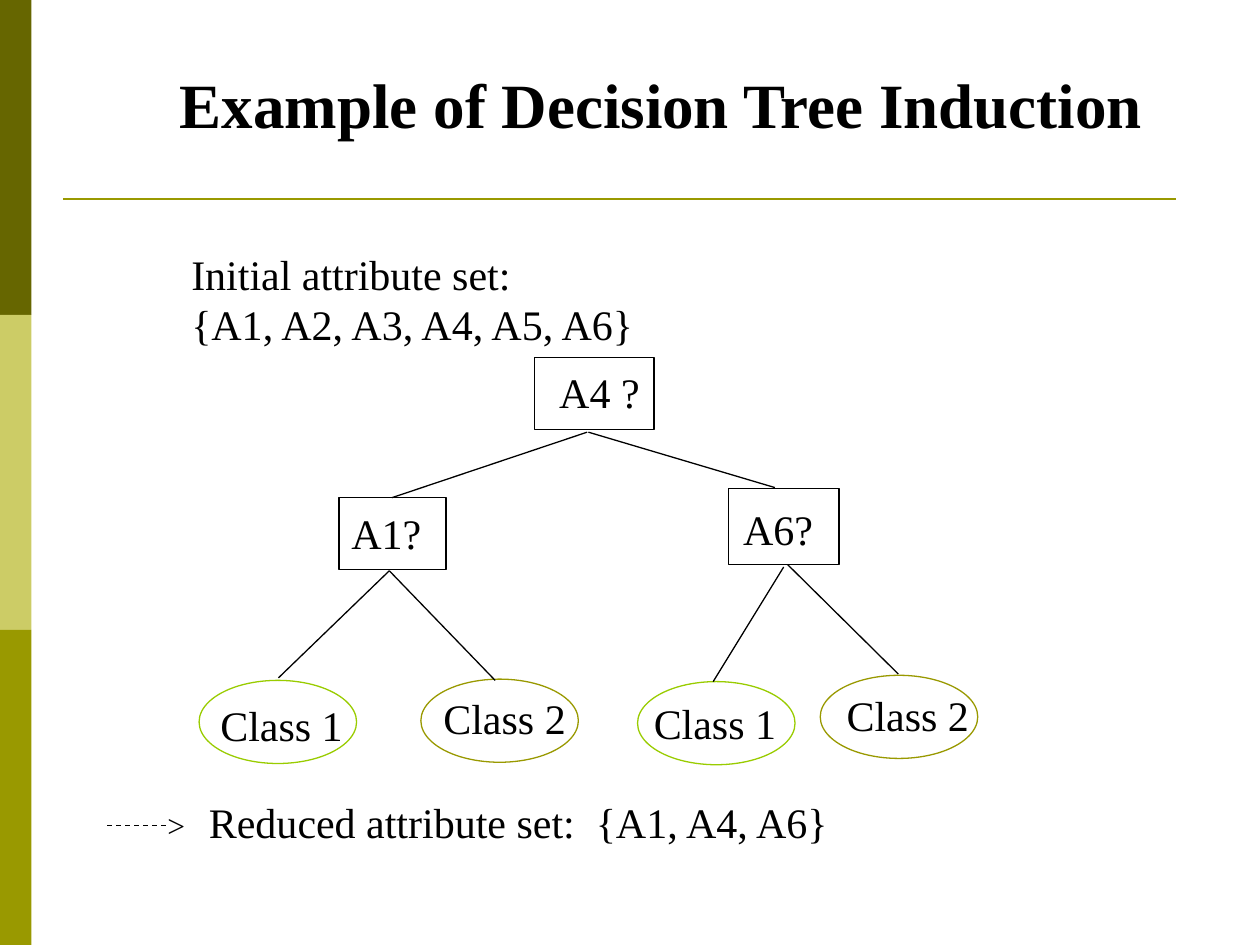
from lxml import etree
from pptx import Presentation
from pptx import util as u
from pptx.dml.color import RGBColor
from pptx.enum import dml, shapes, text
from pptx.oxml import ns

BLACK = RGBColor(0x00, 0x00, 0x00)
WHITE = RGBColor(0xFF, 0xFF, 0xFF)
DARK_OLIVE = RGBColor(0x66, 0x66, 0x00)
PALE_OLIVE = RGBColor(0xCC, 0xCC, 0x66)
OLIVE = RGBColor(0x99, 0x99, 0x00)
LIME = RGBColor(0x99, 0xCC, 0x00)


class Board:
    font = "Times New Roman"
    size = 24
    thin = 0.74
    cols, rows = 100, 75

    def __init__(self, prs):
        self.slide = prs.slides.add_slide(prs.slide_layouts[6])
        self.col = prs.slide_width / self.cols
        self.row = prs.slide_height / self.rows
        fill = self.slide.background.fill
        fill.solid()
        fill.fore_color.rgb = WHITE

    def grid(self, *lengths):
        units = (self.col, self.row) * 2
        return [u.Emu(round(n * unit)) for n, unit in zip(lengths, units)]

    def shape(self, kind, box, fill=None, line=None):
        sp = self.slide.shapes.add_shape(kind, *self.grid(*box))
        sp.shadow.inherit = False
        if fill is None:
            sp.fill.background()
        else:
            sp.fill.solid()
            sp.fill.fore_color.rgb = fill
        if line is None:
            sp.line.fill.background()
        else:
            sp.line.color.rgb = line
            sp.line.width = u.Pt(self.thin)
        return sp

    def rect(self, box, **style):
        return self.shape(shapes.MSO_SHAPE.RECTANGLE, box, **style)

    def oval(self, box, **style):
        return self.shape(shapes.MSO_SHAPE.OVAL, box, **style)

    def line(self, start, end, color=BLACK, width=thin, dash=None):
        ln = self.slide.shapes.add_connector(
            shapes.MSO_CONNECTOR.STRAIGHT, *self.grid(*start, *end))
        ln.line.color.rgb = color
        ln.line.width = u.Pt(width)
        if dash is not None:
            ln.line.dash_style = dash
        etree.SubElement(ln._element.spPr, ns.qn("a:effectLst"))
        return ln

    def text(self, box, *paragraphs, size=size, bold=False):
        sp = self.slide.shapes.add_textbox(*self.grid(*box))
        tf = sp.text_frame
        tf.word_wrap = True
        tf.auto_size = text.MSO_AUTO_SIZE.SHAPE_TO_FIT_TEXT
        for i, words in enumerate(paragraphs):
            p = tf.add_paragraph() if i else tf.paragraphs[0]
            r = p.add_run()
            r.text = words
            r.font.name = self.font
            r.font.size = u.Pt(size)
            r.font.bold = bold
            r.font.color.rgb = BLACK
        return sp


prs = Presentation()
prs.slide_width, prs.slide_height = u.Inches(10), u.Inches(7.5)
s = Board(prs)

band = s.rows / 3
for i, color in enumerate((DARK_OLIVE, PALE_OLIVE, OLIVE)):
    s.rect((0, i * band, 2.5, band), fill=color)
s.line((5, 15.8), (93.3, 15.8), color=OLIVE, width=1.5)

s.text((13.3, 4.7, 84.2, 7), "Example of Decision Tree Induction",
       size=36, bold=True)
s.text((14.2, 19.2, 38, 9), "Initial attribute set:", "{A1, A2, A3, A4, A5, A6}")

tests = (
    ("A4 ?", (42.4, 28.4, 9.5, 5.7), (43.4, 28.6)),
    ("A1?", (26.9, 39.5, 8.5, 5.7), (26.9, 39.8)),
    ("A6?", (57.8, 38.8, 8.8, 6), (58, 39.5)),
)
for label, box, label_corner in tests:
    s.rect(box, line=BLACK)
    s.text((*label_corner, 9.7, 5), label)

leaves = (
    ("Class 1", LIME, (15.8, 54), (16.5, 55)),
    ("Class 2", OLIVE, (33.4, 53.9), (34.2, 54.5)),
    ("Class 1", LIME, (50.6, 54.1), (50.9, 54.9)),
    ("Class 2", OLIVE, (65.1, 53.6), (66.2, 54.2)),
)
for label, color, corner, label_corner in leaves:
    s.oval((*corner, 12.5, 6.6), line=color)
    s.text((*label_corner, 12.5, 5), label)

branches = (
    ((46.6, 34.3), (31.1, 39.5)),
    ((46.7, 34.3), (61.5, 38.7)),
    ((30.9, 45.3), (22.1, 53.8)),
    ((30.9, 45.3), (39.3, 54)),
    ((62.2, 45), (56.6, 54.1)),
    ((62.5, 44.8), (71.3, 53.5)),
)
for start, end in branches:
    s.line(start, end)

s.line((8.5, 65.5), (13.3, 65.5), dash=dml.MSO_LINE.DASH)
s.text((12.3, 63.5, 4, 4), ">", size=18)
s.text((15.6, 62.7, 53, 5), "Reduced attribute set:  {A1, A4, A6}")

prs.save("out.pptx")
